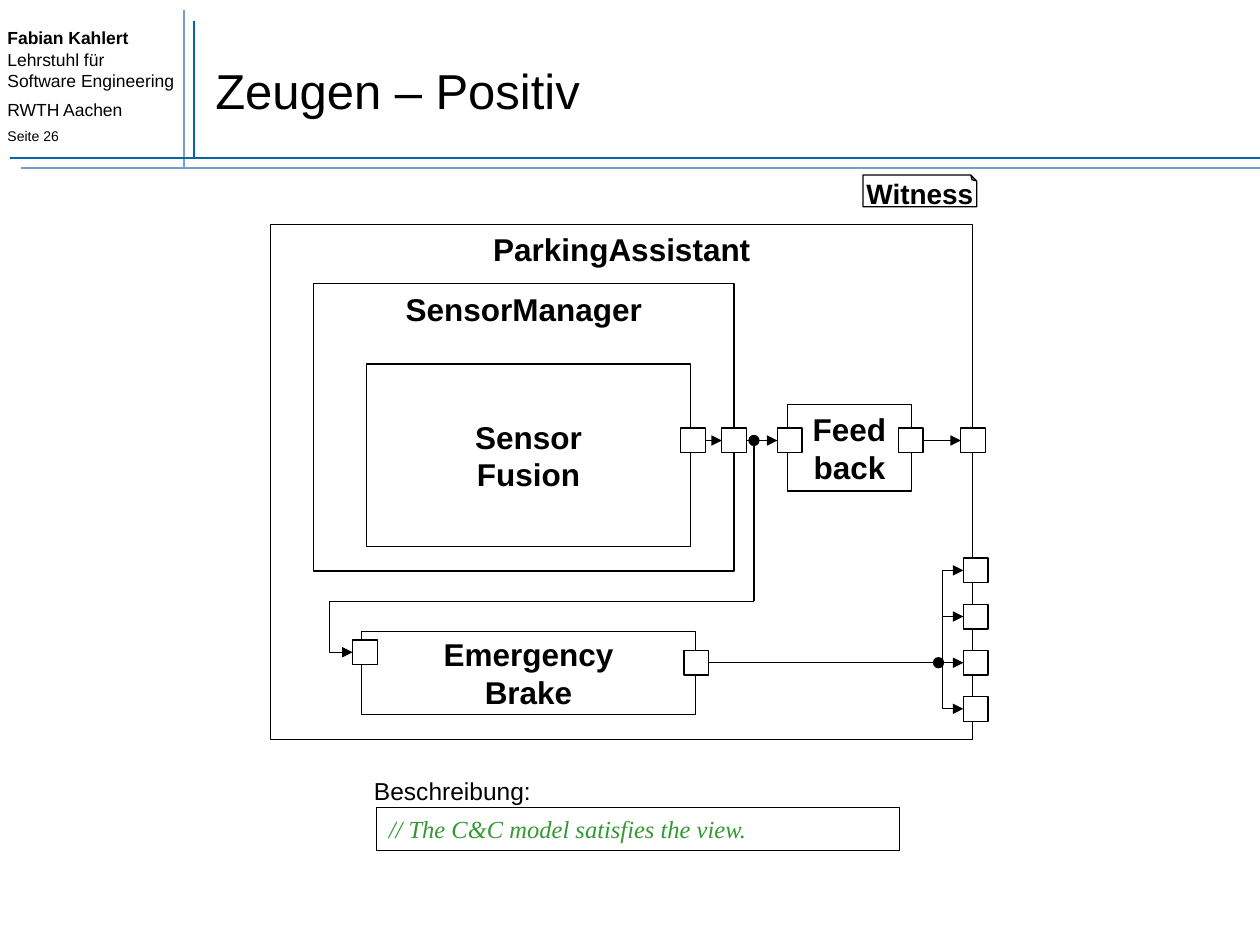
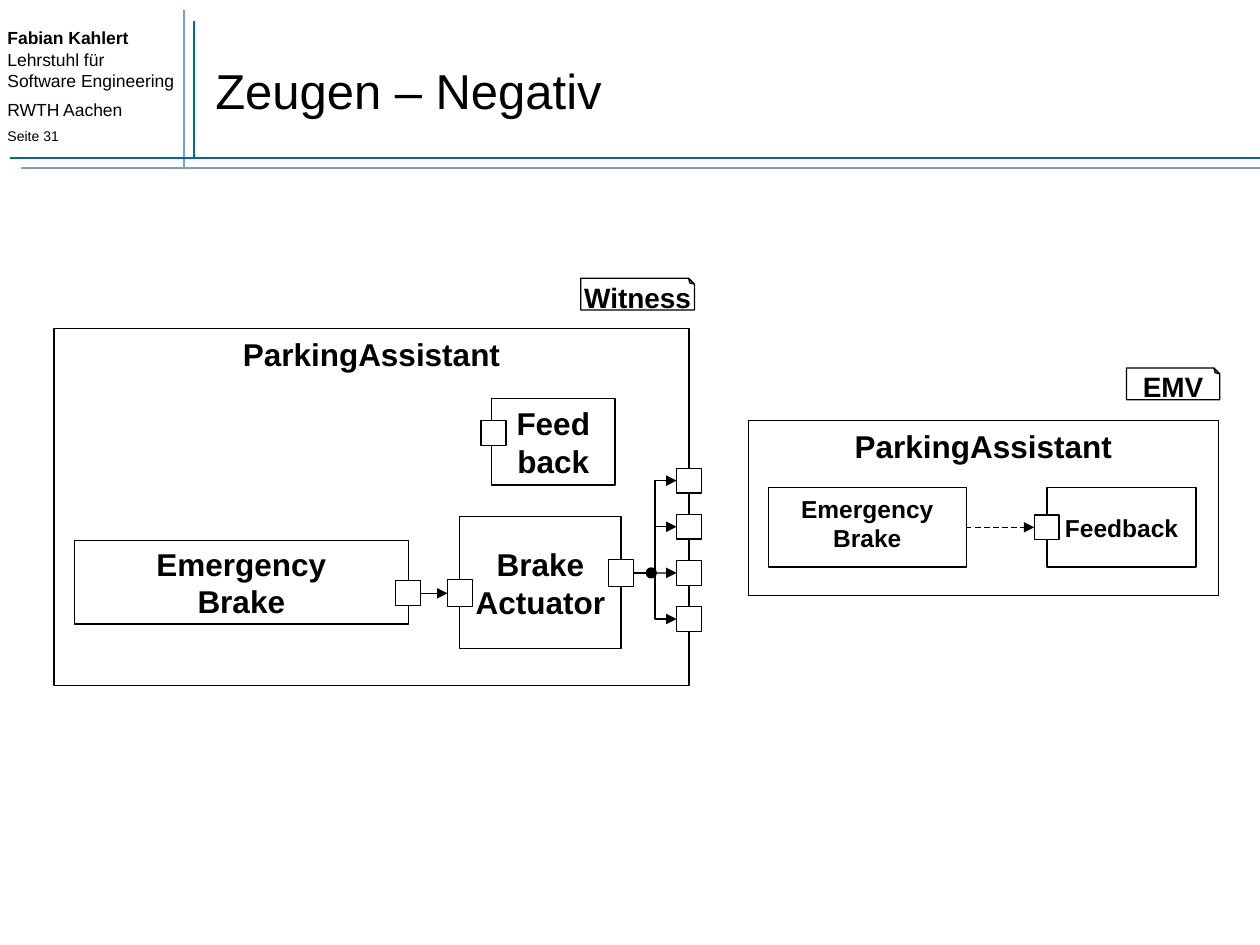
"""Builds two slides on positive and negative witnesses of component views."""
import pptx
import pptx.dml.color
import pptx.enum.dml
import pptx.enum.shapes
import pptx.enum.text
import pptx.oxml
import pptx.oxml.ns
import pptx.util

Cm = pptx.util.Cm
Pt = pptx.util.Pt
color = pptx.dml.color.RGBColor.from_string
SHAPE = pptx.enum.shapes.MSO_SHAPE
CONNECTOR = pptx.enum.shapes.MSO_CONNECTOR
ANCHOR = pptx.enum.text.MSO_ANCHOR
ALIGN = pptx.enum.text.PP_ALIGN
NAMESPACE = pptx.oxml.ns.nsdecls("a")

BLACK, WHITE, GREEN = "000000", "FFFFFF", "339933"
DARK_BLUE, LIGHT_BLUE = "0067A6", "779EC9"
FONT = "Arial"
PORT = 0.5
TALL_PORT = 0.54
PORT_STEP = 0.93
DOT = 0.2


def draw_box(page, left, top, width, height, text="", size=18,
             anchor=ANCHOR.MIDDLE, kind=SHAPE.RECTANGLE, fill=WHITE):
    """Draw an outlined shape with bold centred text."""
    box = page.shapes.add_shape(kind, Cm(left), Cm(top), Cm(width), Cm(height))
    box.shadow.inherit = False
    box.fill.solid()
    box.fill.fore_color.rgb = color(fill)
    box.line.color.rgb = color(BLACK)
    box.line.width = Pt(0.75)
    if kind == SHAPE.FOLDED_CORNER:
        properties = box._element.spPr
        properties.prstGeom.get_or_add_avLst().append(
            pptx.oxml.parse_xml(f'<a:gd {NAMESPACE} name="adj" fmla="val 18500"/>'))
        properties.xfrm.set("flipV", "1")
        box.text_frame._txBody.bodyPr.set("rot", "10800000")
    if text:
        box.text_frame.text = text
        box.text_frame.word_wrap = kind != SHAPE.FOLDED_CORNER
        box.text_frame.vertical_anchor = anchor
        for para in box.text_frame.paragraphs:
            para.alignment = ALIGN.CENTER
            for span in para.runs:
                span.font.name = FONT
                span.font.size = Pt(size)
                span.font.bold = True
                span.font.color.rgb = color(BLACK)
    return box


def draw_wire(page, begin, end, bend=None, arrow=True, dashed=False,
              line=BLACK, weight=0.75):
    """Draw a connector between points, or from a shape's right to a shape's left side."""
    start, stop = begin, end
    if not isinstance(begin, tuple):
        start = ((begin.left + begin.width) / Cm(1), (begin.top + begin.height / 2) / Cm(1))
    if not isinstance(end, tuple):
        stop = (end.left / Cm(1), (end.top + end.height / 2) / Cm(1))
    kind = CONNECTOR.STRAIGHT if bend is None else CONNECTOR.ELBOW
    wire = page.shapes.add_connector(kind, *[Cm(value) for value in start + stop])
    if begin is not start:
        wire.begin_connect(begin, 3)
    if end is not stop:
        wire.end_connect(end, 1)
    wire.line.color.rgb = color(line)
    wire.line.width = Pt(weight)
    properties = wire._element.spPr
    if bend is not None:
        guide = pptx.oxml.parse_xml(
            f'<a:gd {NAMESPACE} name="adj1" fmla="val {round(bend * 100000)}"/>')
        geometry = properties.find(pptx.oxml.ns.qn("a:prstGeom"))
        geometry.get_or_add_avLst().append(guide)
    if dashed:
        wire.line.dash_style = pptx.enum.dml.MSO_LINE.DASH
    if arrow:
        wire.line._get_or_add_ln().append(
            pptx.oxml.parse_xml(f'<a:tailEnd {NAMESPACE} type="triangle"/>'))
    properties.append(pptx.oxml.parse_xml(f"<a:effectLst {NAMESPACE}/>"))


deck = pptx.Presentation()
deck.slide_width, deck.slide_height = Cm(25.4), Cm(19.05)

HEADER_LINES = [
    ((3.91, 3.18), (3.91, 0.43), DARK_BLUE),
    ((3.71, 3.38), (3.71, 0.2), LIGHT_BLUE),
    ((0.2, 3.18), (25.4, 3.18), DARK_BLUE),
    ((0.43, 3.38), (25.4, 3.38), LIGHT_BLUE),
]
pages = []
for heading, number in [("Zeugen – Positiv", 26), ("Zeugen – Negativ", 31)]:
    page = deck.slides.add_slide(deck.slide_layouts[5])
    pages.append(page)

    sender = page.shapes.add_textbox(Cm(-0.1), Cm(0.43), Cm(3.89), Cm(2.69))
    sender.text_frame.word_wrap = True
    sender.text_frame.text = ("Fabian Kahlert\vLehrstuhl für Software Engineering\n"
                              f"RWTH Aachen\nSeite {number}")
    for para, size, space in zip(sender.text_frame.paragraphs, (10, 10, 8), (0, 5, 4)):
        para.space_before = Pt(space)
        for span in para.runs:
            span.font.name = FONT
            span.font.size = Pt(size)
            span.font.color.rgb = color(BLACK)
    sender.text_frame.paragraphs[0].runs[0].font.bold = True

    for begin, end, line in HEADER_LINES:
        draw_wire(page, begin, end, arrow=False, line=line, weight=1)

    title = page.shapes.title
    title.left, title.top, title.width, title.height = Cm(4.09), Cm(0.64), Cm(21.01), Cm(2.34)
    frame = title.text_frame
    frame.text = heading
    frame.auto_size = pptx.enum.text.MSO_AUTO_SIZE.NONE
    frame.vertical_anchor = ANCHOR.MIDDLE
    frame.margin_left = frame.margin_right = frame.margin_top = frame.margin_bottom = Cm(0.25)
    frame.paragraphs[0].alignment = ALIGN.LEFT
    span = frame.paragraphs[0].runs[0]
    span.font.name = FONT
    span.font.size = Pt(28)
    span.font.color.rgb = color(BLACK)

positive, negative = pages

draw_box(positive, 5.46, 4.52, 14.15, 10.39, "ParkingAssistant", anchor=ANCHOR.TOP)
draw_box(positive, 6.32, 5.72, 8.48, 5.79, "SensorManager", anchor=ANCHOR.TOP)
draw_box(positive, 7.39, 7.34, 6.53, 3.68, "Sensor\vFusion")
draw_box(positive, 7.29, 12.73, 6.73, 1.68, "Emergency\nBrake")
draw_box(positive, 15.88, 8.15, 2.49, 1.75, "Feed\nback")
draw_box(positive, 17.4, 3.53, 2.29, 0.64, "Witness", 16, kind=SHAPE.FOLDED_CORNER)

fusion_out, manager_out, feedback_in, feedback_out, assistant_out = [
    draw_box(positive, left, 8.63, PORT, PORT) for left in (13.72, 14.55, 15.67, 18.11, 19.37)]
draw_box(positive, 7.11, 12.9, PORT, PORT)
brake_out = draw_box(positive, 13.79, 13.11, PORT, PORT)
for begin, end in [(fusion_out, manager_out), (manager_out, feedback_in),
                   (feedback_out, assistant_out)]:
    draw_wire(positive, begin, end)
draw_wire(positive, (15.2, 8.88), (15.2, 12.12), arrow=False)
draw_wire(positive, (15.2, 12.12), (7.11, 13.15), bend=1.057)
draw_wire(positive, brake_out, (18.82, 13.36), arrow=False)

draw_box(negative, 1.09, 6.63, 12.8, 7.19, "ParkingAssistant", anchor=ANCHOR.TOP)
draw_box(negative, 11.71, 5.61, 2.29, 0.64, "Witness", 16, kind=SHAPE.FOLDED_CORNER)
draw_box(negative, 9.91, 8.03, 2.49, 1.75, "Feed\nback")
draw_box(negative, 9.7, 8.48, PORT, PORT)
draw_box(negative, 1.5, 10.9, 6.73, 1.68, "Emergency\nBrake")
draw_box(negative, 9.27, 10.41, 3.25, 2.67, "Brake\vActuator")
brake_out = draw_box(negative, 7.98, 11.71, PORT, PORT)
actuator_in = draw_box(negative, 9.02, 11.69, PORT, TALL_PORT)
actuator_out = draw_box(negative, 12.27, 11.28, PORT, TALL_PORT)
draw_wire(negative, brake_out, actuator_in)

FANS = [
    (positive, (19.02, 13.36), (19.02, 13.36), 19.42, 11.25, -0.06, (18.92, 13.36)),
    (negative, actuator_out, (12.77, 11.55), 13.64, 9.44, 0.5, (13.13, 11.55)),
]
for page, source, fork, left, first_top, bend, (dot_x, dot_y) in FANS:
    for row in range(4):
        top = first_top + row * PORT_STEP
        port = draw_box(page, left, top, PORT, PORT)
        if row == 2:
            draw_wire(page, source, port)
        else:
            draw_wire(page, fork, (left, top + PORT / 2), bend=bend)
    draw_box(page, dot_x - DOT / 2, dot_y - DOT / 2, DOT, DOT, kind=SHAPE.OVAL, fill=BLACK)
draw_box(positive, 15.1, 8.78, DOT, DOT, kind=SHAPE.OVAL, fill=BLACK)

draw_box(negative, 15.09, 8.48, 9.47, 3.53, "ParkingAssistant", anchor=ANCHOR.TOP)
draw_box(negative, 22.71, 7.42, 1.88, 0.64, "EMV", 16, kind=SHAPE.FOLDED_CORNER)
draw_box(negative, 21.11, 9.83, 3, 1.6, "Feedback", 14)
view_brake = draw_box(negative, 15.49, 9.83, 3.99, 1.6, "Emergency\nBrake", 14, ANCHOR.TOP)
view_port = draw_box(negative, 20.85, 10.38, PORT, PORT)
draw_wire(negative, view_brake, view_port, dashed=True)

for left, top, text, font, ink in [
        (7.59, 16.28, "// The C&C model satisfies the view.", "Times New Roman", GREEN),
        (7.29, 15.52, "Beschreibung:", FONT, BLACK)]:
    box = positive.shapes.add_textbox(Cm(left), Cm(top), Cm(10.54), Cm(0.86))
    box.text_frame.word_wrap = True
    box.text_frame.text = text
    span = box.text_frame.paragraphs[0].runs[0]
    span.font.name = font
    span.font.size = Pt(14)
    span.font.color.rgb = color(ink)
    if ink == GREEN:
        span.font.italic = True
        box.line.color.rgb = color(BLACK)
        box.line.width = Pt(0.75)

deck.save("out.pptx")
